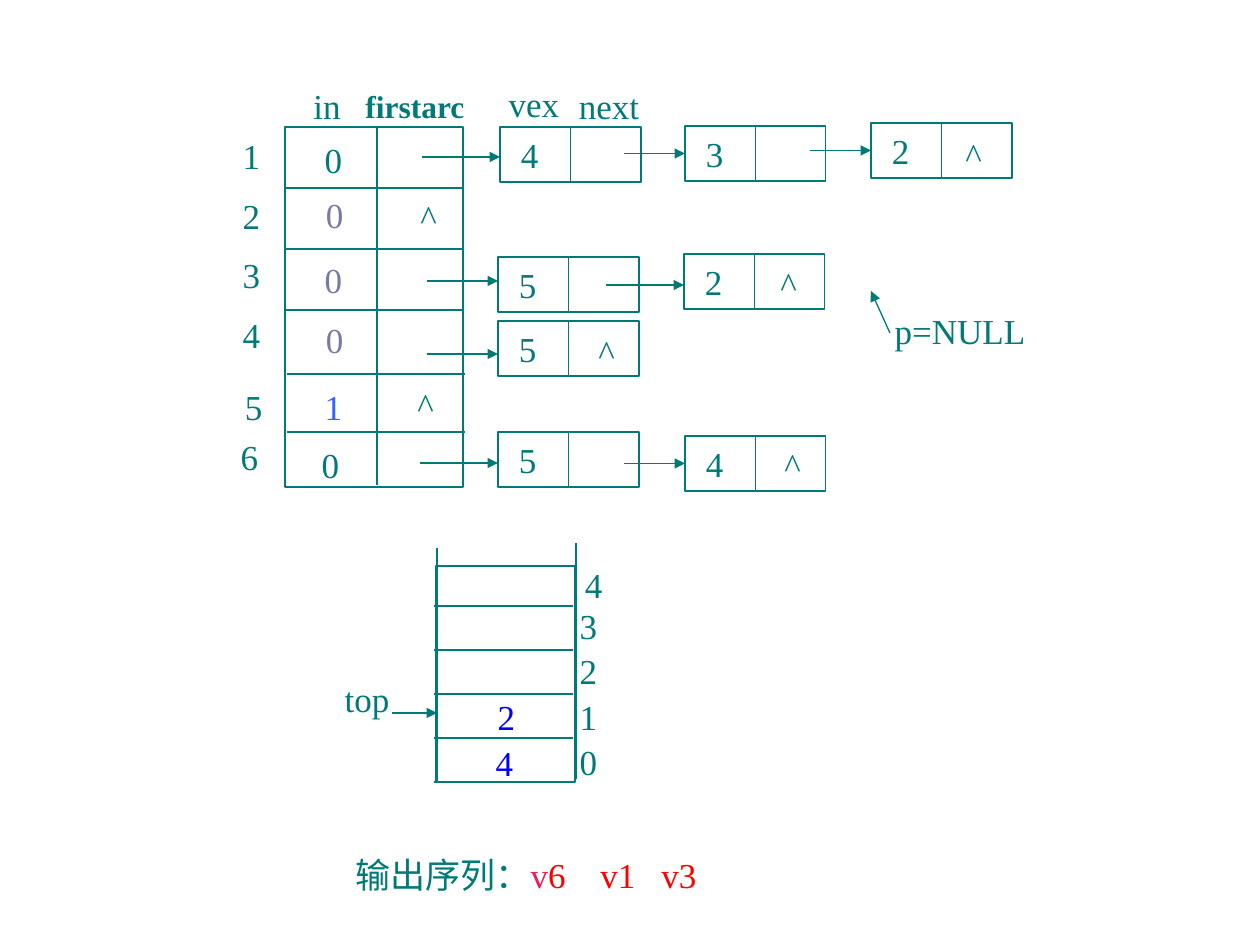
import pptx
import pptx.dml.color
import pptx.enum.shapes
import pptx.enum.text
import pptx.util
from pptx.oxml.ns import qn

PX = 914400 // 126
TEAL, MUTED, LIGHT_BLUE, BLUE = "007A77", "7979A5", "3366FF", "0000FF"
TEXT_HEIGHT, DIGIT_WIDTH = 55, 43
NODE_WIDTH, NODE_HEIGHT = 141, 55

# Vertex table: index, index left, index top, in-degree, in-degree left, top, colour
VERTEX_ROWS = [
    ("1", 230, 128, "0", 312, 132, TEAL),
    ("2", 230, 188, "0", 313, 187, MUTED),
    ("3", 230, 247, "0", 312, 252, MUTED),
    ("4", 230, 307, "0", 313, 312, MUTED),
    ("5", 232, 379, "1", 312, 379, LIGHT_BLUE),
    ("6", 228, 429, "0", 309, 437, TEAL),
]
VERTEX_RULES = [(284, 188), (284, 249), (284, 310), (287, 374), (287, 432)]

# Arc nodes: value, left, top, arrow start x, arrow y (None joins the side's middle)
ARC_NODES = [
    ("4", 500, 127, 422, 157),
    ("3", 685, 126, 624, None),
    ("2", 871, 123, 810, None),
    ("5", 498, 257, 427, 281),
    ("2", 684, 254, 606, 285),
    ("5", 498, 321, 427, 354),
    ("5", 498, 432, 420, 463),
    ("4", 685, 436, 624, None),
]
END_MARKS = [(952, 127), (767, 256), (585, 324), (771, 437), (404, 377), (407, 189)]

# Text, left, top, width
LABELS = [
    ("in", 297, 78, 60),
    ("vex", 494, 76, 80),
    ("next", 564, 78, 90),
    ("p=NULL", 880, 303, 160),
    ("top", 327, 671, 80),
]
STACK_INDEXES = [("4", 572, 557), ("3", 567, 598), ("2", 567, 643), ("1", 567, 689), ("0", 567, 734)]
STACK_VALUES = [("2", 485, 689), ("4", 483, 735)]
STACK_RULES = [606, 650, 694, 738, 782]
OUTPUT_RUNS = [("输出序列：", TEAL), ("v", "ED1D53"), ("6\tv1\tv3", "FF0000")]
OUTPUT_TABS = [245, 306]


def px(value):
    return pptx.util.Emu(round(value * PX))


def rgb(colour):
    return pptx.dml.color.RGBColor.from_string(colour)


def style_run(run, colour=TEAL, size=20, bold=False):
    run.font.name = "Times New Roman"
    run.font.size = pptx.util.Pt(size)
    run.font.bold = bold
    run.font.color.rgb = rgb(colour)


def add_text(slide, text, left, top, width=DIGIT_WIDTH, colour=TEAL, size=20, bold=False):
    """Add a one-line centred label."""
    box = slide.shapes.add_textbox(px(left), px(top), px(width), px(TEXT_HEIGHT))
    frame = box.text_frame
    frame.text = text
    frame.word_wrap = False
    frame.vertical_anchor = pptx.enum.text.MSO_ANCHOR.MIDDLE
    paragraph = frame.paragraphs[0]
    paragraph.alignment = pptx.enum.text.PP_ALIGN.CENTER
    style_run(paragraph.runs[0], colour, size, bold)


def add_rectangle(slide, left, top, width, height, fill=None):
    shape = slide.shapes.add_shape(
        pptx.enum.shapes.MSO_SHAPE.RECTANGLE, px(left), px(top), px(width), px(height))
    shape.shadow.inherit = False
    if fill:
        shape.fill.solid()
        shape.fill.fore_color.rgb = rgb(fill)
    else:
        shape.fill.background()
    shape.line.color.rgb = rgb(TEAL)
    shape.line.width = pptx.util.Pt(0.75)
    return shape


def add_line(slide, start_x, start_y, end_x, end_y, arrow=False):
    line = slide.shapes.add_connector(
        pptx.enum.shapes.MSO_CONNECTOR.STRAIGHT, px(start_x), px(start_y), px(end_x), px(end_y))
    line.line.color.rgb = rgb(TEAL)
    line.line.width = pptx.util.Pt(0.75)
    if arrow:
        outline = line.line._get_or_add_ln()
        outline.append(outline.makeelement(qn("a:tailEnd"), {"type": "triangle"}))
    properties = line._element.spPr
    properties.append(properties.makeelement(qn("a:effectLst"), {}))
    return line


def add_vertex_table(slide):
    add_rectangle(slide, 285, 127, 178, 360)
    add_line(slide, 377, 127, 377, 485)
    for left, y in VERTEX_RULES:
        add_line(slide, left, y, left + 178, y)
    for index, index_left, index_top, degree, left, top, colour in VERTEX_ROWS:
        add_text(slide, index, index_left, index_top)
        add_text(slide, degree, left, top, colour=colour)
    add_text(slide, "firstarc", 350, 78, 130, size=18, bold=True)


def add_arc_node(slide, value, left, top, arrow_x, arrow_y):
    node = add_rectangle(slide, left, top, NODE_WIDTH, NODE_HEIGHT)
    frame = node.text_frame
    frame.text = value
    frame.margin_left = px(21)
    frame.vertical_anchor = pptx.enum.text.MSO_ANCHOR.MIDDLE
    frame.paragraphs[0].alignment = pptx.enum.text.PP_ALIGN.LEFT
    style_run(frame.paragraphs[0].runs[0])
    divider = left + NODE_WIDTH / 2
    add_line(slide, divider, top + 1, divider, top + NODE_HEIGHT - 1)
    y = arrow_y or top + NODE_HEIGHT / 2
    arrow = add_line(slide, arrow_x, y, left, y, arrow=True)
    if arrow_y is None:
        arrow.end_connect(node, 1)


def add_stack(slide):
    add_rectangle(slide, 437, 693, 139, 44, "FFFFFF")
    add_rectangle(slide, 436, 566, 139, 216, "FFFFFF")
    add_line(slide, 437, 548, 437, 781)
    add_line(slide, 576, 779, 576, 543)
    for y in STACK_RULES:
        add_line(slide, 434, y, 573, y)
    for text, left, top in STACK_INDEXES:
        add_text(slide, text, left, top)
    for text, left, top in STACK_VALUES:
        add_text(slide, text, left, top, colour=BLUE)


def add_output(slide):
    box = slide.shapes.add_textbox(px(343), px(847), px(380), px(TEXT_HEIGHT))
    box.text_frame.word_wrap = True
    paragraph = box.text_frame.paragraphs[0]
    properties = paragraph._p.get_or_add_pPr()
    tabs = properties.makeelement(qn("a:tabLst"), {})
    properties.append(tabs)
    for position in OUTPUT_TABS:
        tabs.append(tabs.makeelement(qn("a:tab"), {"pos": str(px(position)), "algn": "l"}))
    for text, colour in OUTPUT_RUNS:
        run = paragraph.add_run()
        run.text = text
        style_run(run, colour)


def main():
    presentation = pptx.Presentation()
    presentation.slide_width = px(1260)
    presentation.slide_height = px(945)
    slide = presentation.slides.add_slide(presentation.slide_layouts[6])
    add_vertex_table(slide)
    for node in ARC_NODES:
        add_arc_node(slide, *node)
    for left, top in END_MARKS:
        add_text(slide, "^", left, top)
    add_output(slide)
    add_stack(slide)
    for label in LABELS:
        add_text(slide, *label)
    add_line(slide, 890, 333, 871, 291, arrow=True)
    add_line(slide, 392, 713, 437, 713, arrow=True)
    presentation.save("out.pptx")


if __name__ == "__main__":
    main()
